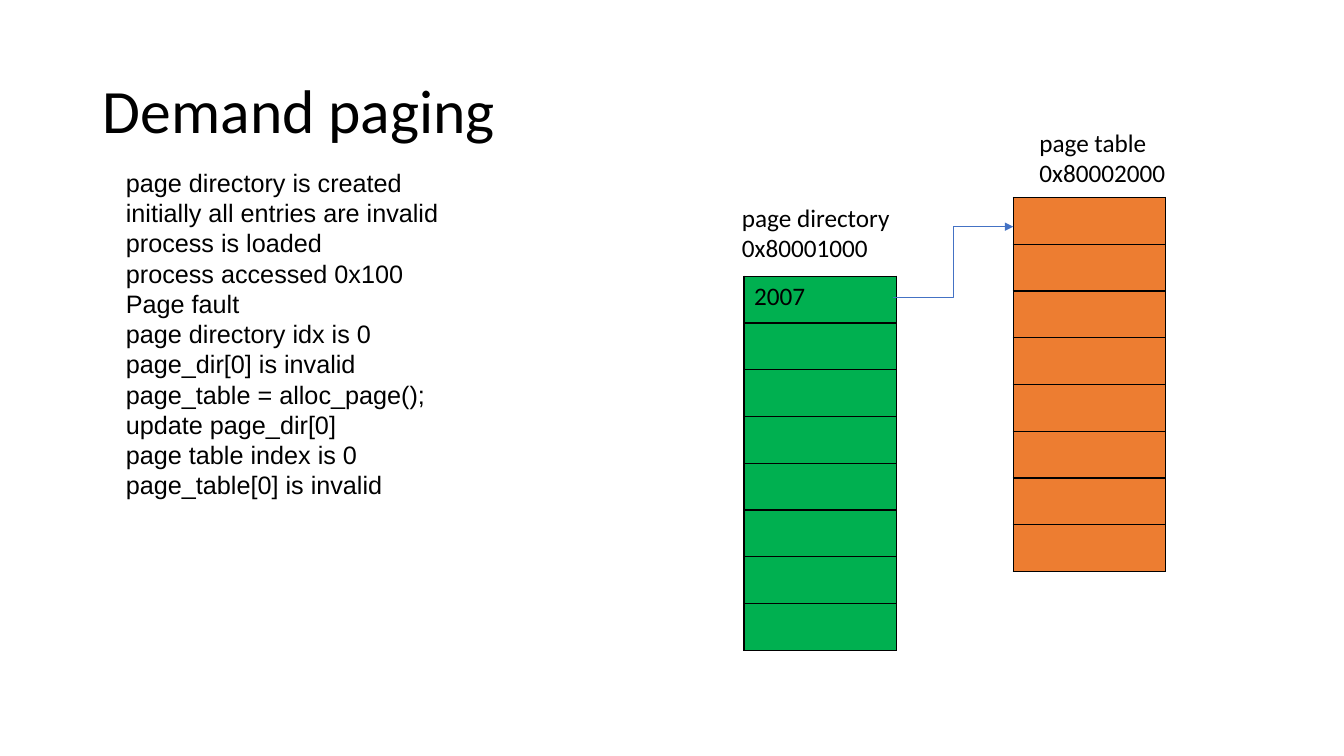
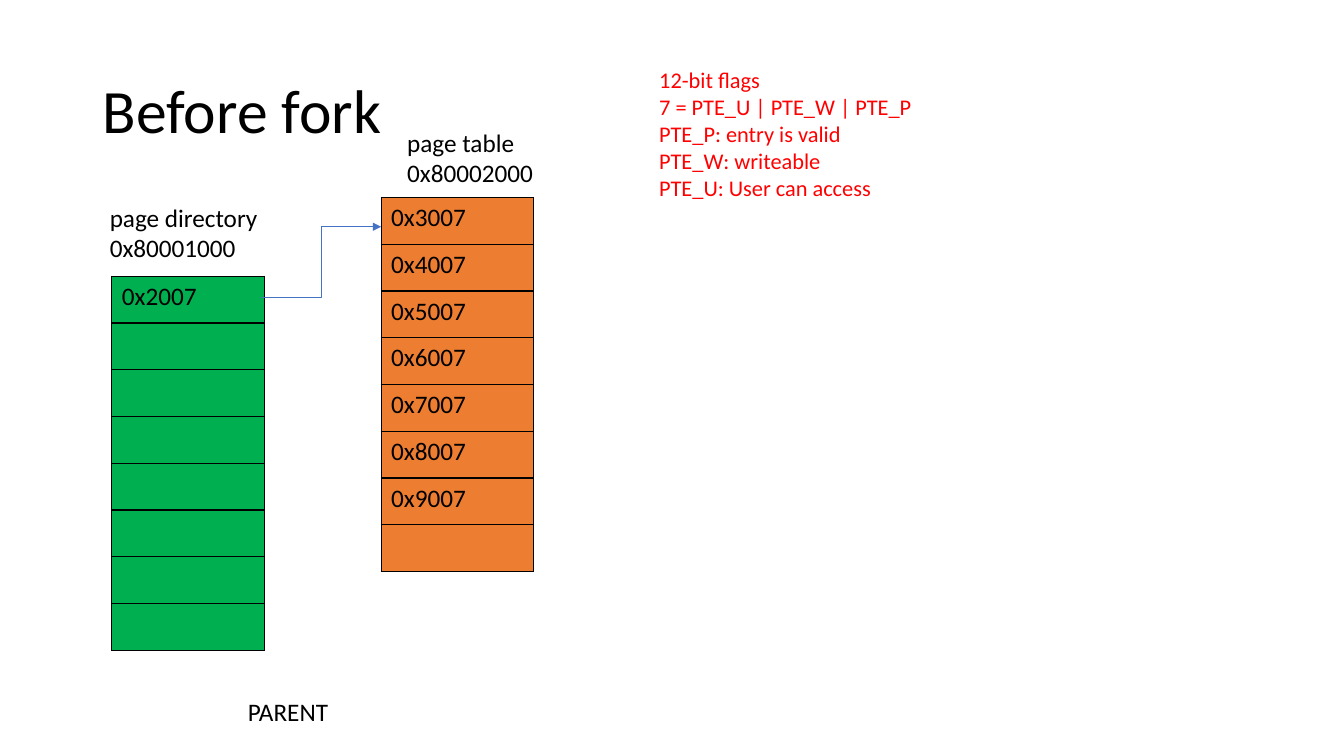
from lxml import etree
from pptx import Presentation
from pptx.dml.color import RGBColor
from pptx.enum.shapes import MSO_CONNECTOR
from pptx.enum.text import MSO_ANCHOR, MSO_AUTO_SIZE, PP_ALIGN
from pptx.oxml.ns import qn
from pptx.util import Inches, Pt

ELBOW = MSO_CONNECTOR.ELBOW
MIDDLE = MSO_ANCHOR.MIDDLE
LEFT = PP_ALIGN.LEFT
GROW, NO_FIT = MSO_AUTO_SIZE.SHAPE_TO_FIT_TEXT, MSO_AUTO_SIZE.NONE

COLORS = {"text": "000000", "directory": "00B050", "table": "ED7D31",
          "arrow": "4472C4", "flags": "FF0000"}
TITLE = {"size": Pt(44), "name": "Calibri", "bold": False}
BODY = {"size": Pt(18), "name": "Calibri", "bold": False}
STEPS = {**BODY, "name": "Arial"}
FLAGS = {**BODY, "size": Pt(16)}

ROWS, COL_W, ROW_H = 8, 1.51, 0.464
DIRECTORY_TOP, TABLE_TOP = 2.74, 1.96
TABLE_DX = 2.67

SLIDES = [
    {"title": "Demand paging", "left": 7.38, "directory": ["2007"], "table": [],
     "notes": [((1.15, 1.61, 4.31, 3.74), STEPS, "text", [
         "page directory is created",
         "initially all entries are invalid",
         "process is loaded",
         "process accessed 0x100",
         "Page fault",
         "page directory idx is 0",
         "page_dir[0] is invalid",
         "page_table = alloc_page();",
         "update page_dir[0]",
         "page table index is 0",
         "page_table[0] is invalid"])]},
    {"title": "Before fork", "left": 1.11, "directory": ["0x2007"],
     "table": ["0x3007", "0x4007", "0x5007", "0x6007", "0x7007", "0x8007", "0x9007"],
     "notes": [((2.36, 6.86, 2.46, 0.4), BODY, "text", ["PARENT"]),
               ((6.44, 0.61, 3.04, 1.45), FLAGS, "flags", [
                   "12-bit flags",
                   "7 = PTE_U | PTE_W | PTE_P",
                   "PTE_P: entry is valid",
                   "PTE_W: writeable",
                   "PTE_U: User can access"])]},
]


def rgb(name):
    return RGBColor.from_string(COLORS[name])


def style(p, fmt, color="text"):
    p.alignment = LEFT
    for key, value in fmt.items():
        setattr(p.font, key, value)
    p.font.color.rgb = rgb(color)


def add_title(s, text):
    sp = s.shapes.title
    sp.left, sp.top, sp.width, sp.height = map(Inches, (0.92, 0.4, 11.5, 1.45))
    tf = sp.text_frame
    tf.text = text
    tf.vertical_anchor = MIDDLE
    tf.auto_size = NO_FIT
    p = tf.paragraphs[0]
    p.line_spacing = 0.9
    style(p, TITLE)


def add_text(s, box, fmt, color, lines):
    tf = s.shapes.add_textbox(*map(Inches, box)).text_frame
    tf.word_wrap = True
    tf.auto_size = GROW
    tf.text = "\n".join(lines)
    for p in tf.paragraphs:
        style(p, fmt, color)


def add_borders(cell):
    tc_pr = cell._tc.get_or_add_tcPr()
    for i, side in enumerate(("lnL", "lnR", "lnT", "lnB")):
        ln = etree.Element(qn(f"a:{side}"), w=str(Pt(1)))
        fill = etree.SubElement(ln, qn("a:solidFill"))
        etree.SubElement(fill, qn("a:srgbClr"), val=COLORS["text"])
        tc_pr.insert(i, ln)


def add_entries(s, left, top, entries, color):
    table = s.shapes.add_table(ROWS, 1, *map(Inches, (left, top, COL_W, ROWS * ROW_H))).table
    table.first_row = table.horz_banding = False
    for i in range(ROWS):
        table.rows[i].height = Inches(ROW_H)
        cell = table.cell(i, 0)
        cell.fill.solid()
        cell.fill.fore_color.rgb = rgb(color)
        add_borders(cell)
        if i < len(entries):
            cell.text = entries[i]
            style(cell.text_frame.paragraphs[0], BODY)


def add_arrow(s, *ends):
    line = s.shapes.add_connector(ELBOW, *map(Inches, ends))
    line.line.width = Pt(0.5)
    line.line.color.rgb = rgb("arrow")
    etree.SubElement(line.line._get_or_add_ln(), qn("a:tailEnd"), type="triangle")
    etree.SubElement(line._element.spPr, qn("a:effectLst"))


def add_paging(s, left, directory, table):
    add_entries(s, left, DIRECTORY_TOP, directory, "directory")
    add_entries(s, left + TABLE_DX, TABLE_TOP, table, "table")
    add_text(s, (left - 0.12, 1.96, 2.32, 0.71), BODY, "text",
             ["page directory", "0x80001000"])
    add_text(s, (left + 2.83, 1.21, 2.32, 0.71), BODY, "text",
             ["page table", "0x80002000"])
    add_arrow(s, left + 1.48, 2.95, left + TABLE_DX, 2.25)


def main():
    prs = Presentation()
    prs.slide_width, prs.slide_height = Inches(13.33), Inches(7.5)
    title_only = prs.slide_layouts[5]
    for content in SLIDES:
        s = prs.slides.add_slide(title_only)
        add_title(s, content["title"])
        add_paging(s, content["left"], content["directory"], content["table"])
        for note in content["notes"]:
            add_text(s, *note)
    prs.save("out.pptx")


if __name__ == "__main__":
    main()
